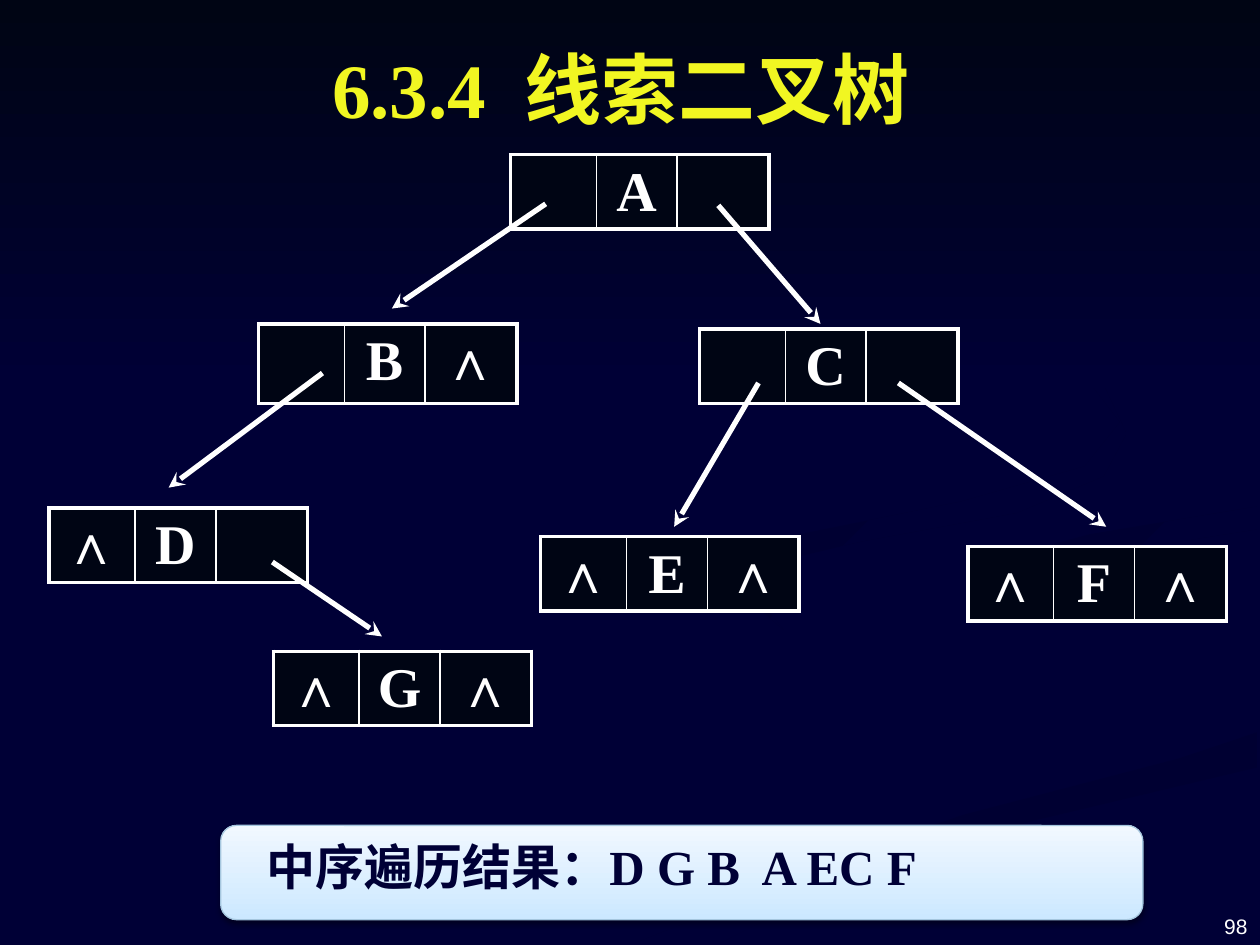
import dataclasses

import pptx
import pptx.dml.color
import pptx.enum.shapes
import pptx.enum.text
import pptx.oxml
import pptx.oxml.ns
import pptx.util

Cm = pptx.util.Cm
Pt = pptx.util.Pt
Align = pptx.enum.text.PP_ALIGN
Anchor = pptx.enum.text.MSO_ANCHOR
Preset = pptx.enum.shapes.MSO_SHAPE


@dataclasses.dataclass(frozen=True)
class Theme:
    background: str = "000036"
    swirl: str = "000032"
    faint_swirl: str = "000034"
    dark: str = "000514"
    white: str = "FFFFFF"
    title: str = "F1F622"
    panel_bottom: str = "CCE8FF"
    panel_top: str = "F1F8FF"
    panel_line: str = "A5C6DE"
    serif: str = "Times New Roman"
    sans: str = "Arial"
    title_size: int = 44
    node_size: int = 32
    result_size: int = 28
    number_size: int = 12
    outer_border: float = 2.25
    inner_border: float = 1


THEME = Theme()
COLUMN_WIDTHS = (1.73, 1.63, 1.85)
ROW_HEIGHT = 1.5

SWIRLS = [
    (THEME.background, THEME.faint_swirl, 0, [
        (19.84, 14.05), (18.57, 13.54), (16.31, 12.88), (14.91, 12.22), (14.6, 11.66),
        (14.48, 11.99), (15.06, 12.47), (17.25, 13.18), (19.1, 13.79), (19.94, 14.27),
        (19.66, 14.81), (18.14, 15.37), (14.71, 16.23), (11.63, 17.12), (8.59, 18.47),
        (7.62, 19.02), (9.17, 19.02), (11.84, 17.78), (15.09, 16.66), (17.75, 15.95),
        (19.81, 15.37), (20.32, 14.76), (20.12, 14.25)]),
    (THEME.background, THEME.faint_swirl, 315, [
        (23.95, 14.48), (23.34, 13.89), (21.59, 13.31), (19.66, 12.78), (18.62, 12.27),
        (18.39, 11.79), (18.62, 12.4), (19.84, 13.16), (21.29, 13.61), (22.86, 14.15),
        (23.32, 14.76), (22.71, 15.37), (23.67, 14.96)]),
    (THEME.swirl, THEME.background, 270, [
        (12.78, 19.02), (14.5, 19.02), (16, 18.26), (18.34, 17.32), (20.85, 16.54),
        (25.35, 15.47), (25.35, 14.76), (23.77, 15.29), (19.41, 16.43), (16, 17.6),
        (13.79, 18.62)]),
    (THEME.swirl, THEME.background, 315, [
        (19.84, 11.68), (20.24, 12.27), (20.98, 12.6), (20.45, 12.09), (20.73, 11.66),
        (22.3, 11.15), (25.35, 10.67), (25.35, 10.21), (21.97, 10.77), (20.29, 11.23)]),
    (THEME.swirl, THEME.background, 315, [
        (17.35, 10.92), (20.5, 10.34), (22.25, 9.6), (22.71, 8.74), (22.17, 7.59),
        (20.57, 6.5), (19.35, 5.92), (21.49, 7.09), (22.58, 8.51), (21.87, 9.4),
        (19.38, 10.11), (15.88, 10.82), (14.66, 11.73), (15.8, 12.7), (15.09, 11.81),
        (15.85, 11.28)]),
]

NODES = [
    (10.29, 3.12, ROW_HEIGHT, ("", "A", "")),
    (5.21, 6.53, 1.6, ("", "B", "∧")),
    (14.1, 6.63, ROW_HEIGHT, ("", "C", "")),
    (0.99, 10.24, ROW_HEIGHT, ("∧", "D", "")),
    (10.9, 10.82, ROW_HEIGHT, ("∧", "E", "∧")),
    (19.51, 11.02, ROW_HEIGHT, ("∧", "F", "∧")),
    (5.51, 13.13, ROW_HEIGHT, ("∧", "G", "∧")),
]

LINKS = [
    (11, 4.11, 7.9, 6.22),
    (14.48, 4.14, 16.54, 6.53),
    (15.29, 7.72, 13.59, 10.62),
    (18.11, 7.72, 22.3, 10.62),
    (6.5, 7.52, 3.4, 9.83),
    (5.49, 11.33, 7.7, 12.83),
]


def rgb(color):
    return pptx.dml.color.RGBColor.from_string(color)


def add_xml(parent, tag, **attributes):
    child = pptx.oxml.parse_xml(f"<a:{tag} {pptx.oxml.ns.nsdecls('a')}/>")
    for name, value in attributes.items():
        child.set(name, str(value))
    parent.append(child)
    return child


def write_text(text_frame, text, size, color, align, anchor, font=THEME.serif, bold=True):
    text_frame.text = text
    text_frame.word_wrap = True
    text_frame.vertical_anchor = anchor
    paragraph = text_frame.paragraphs[0]
    paragraph.alignment = align
    for run in paragraph.runs:
        run.font.name = font
        run.font.size = Pt(size)
        run.font.bold = bold
        run.font.color.rgb = rgb(color)


def fill_gradient(shape, first, last, angle):
    shape.fill.gradient()
    shape.fill.gradient_angle = angle
    for stop, color in zip(shape.fill.gradient_stops, (first, last)):
        stop.color.rgb = rgb(color)
    shape.line.fill.background()
    shape.shadow.inherit = False


def add_background(presentation, slide):
    slide.background.fill.solid()
    slide.background.fill.fore_color.rgb = rgb(THEME.background)
    for first, last, angle, outline in SWIRLS:
        points = [(Cm(x), Cm(y)) for x, y in outline]
        builder = slide.shapes.build_freeform(*points[0])
        builder.add_line_segments(points[1:], close=True)
        fill_gradient(builder.convert_to_shape(), first, last, angle)
    band = slide.shapes.add_shape(Preset.RECTANGLE, 0, 0, presentation.slide_width, Cm(7.82))
    fill_gradient(band, THEME.dark, THEME.background, 270)


def add_title(slide, text):
    title = slide.shapes.title
    title.left, title.top, title.width, title.height = Cm(1.09), Cm(0.41), Cm(22.86), Cm(2.72)
    write_text(title.text_frame, text, THEME.title_size, THEME.title, Align.CENTER, Anchor.MIDDLE)
    title.element.getparent().append(title.element)


def set_borders(cell, left, right):
    properties = cell._tc.get_or_add_tcPr()
    widths = {"lnL": left, "lnR": right, "lnT": THEME.outer_border, "lnB": THEME.outer_border}
    for index, (tag, width) in enumerate(widths.items()):
        line = add_xml(properties, tag, w=Pt(width))
        add_xml(add_xml(line, "solidFill"), "srgbClr", val=THEME.white)
        properties.insert(index, line)


def add_node(slide, left, top, height, texts):
    frame = slide.shapes.add_table(
        1, len(texts), Cm(left), Cm(top), Cm(sum(COLUMN_WIDTHS)), Cm(height))
    table = frame.table
    table.rows[0].height = Cm(height)
    last = len(texts) - 1
    for index, (text, width) in enumerate(zip(texts, COLUMN_WIDTHS)):
        table.columns[index].width = Cm(width)
        cell = table.cell(0, index)
        write_text(cell.text_frame, text, THEME.node_size, THEME.white, Align.CENTER, Anchor.TOP)
        cell.margin_bottom = 0
        cell.fill.solid()
        cell.fill.fore_color.rgb = rgb(THEME.dark)
        set_borders(cell,
                    THEME.outer_border if index == 0 else THEME.inner_border,
                    THEME.outer_border if index == last else THEME.inner_border)


def add_link(slide, *ends):
    connector = slide.shapes.add_connector(
        pptx.enum.shapes.MSO_CONNECTOR.STRAIGHT, *map(Cm, ends))
    connector.line.color.rgb = rgb(THEME.white)
    connector.line.width = Pt(3)
    add_xml(connector.line._get_or_add_ln(), "tailEnd", type="stealth")
    add_xml(connector._element.spPr, "effectLst")


def add_result(slide, text):
    panel = slide.shapes.add_shape(
        Preset.ROUNDED_RECTANGLE, Cm(4.45), Cm(16.64), Cm(18.59), Cm(1.9))
    fill_gradient(panel, THEME.panel_bottom, THEME.panel_top, 90)
    panel.line.color.rgb = rgb(THEME.panel_line)
    panel.line.width = Pt(0.75)
    effects = panel._element.spPr.find(pptx.oxml.ns.qn("a:effectLst"))
    shadow = add_xml(effects, "outerShdw", blurRad=Pt(3.1), dist=Pt(1.6), dir=90 * 60000)
    add_xml(add_xml(shadow, "srgbClr", val="000000"), "alpha", val=38000)
    write_text(panel.text_frame, text, THEME.result_size, THEME.background,
               Align.LEFT, Anchor.TOP)
    panel.text_frame.margin_left = Cm(0.84)


def add_slide_number(slide, text):
    box = slide.shapes.add_textbox(Cm(19.48), Cm(17.73), Cm(5.92), Cm(1.32))
    write_text(box.text_frame, text, THEME.number_size, THEME.white,
               Align.RIGHT, Anchor.BOTTOM, THEME.sans, False)


def main():
    presentation = pptx.Presentation()
    presentation.slide_width, presentation.slide_height = Cm(25.4), Cm(19.05)
    slide = presentation.slides.add_slide(presentation.slide_layouts[5])
    add_background(presentation, slide)
    add_slide_number(slide, "98")
    for node in NODES:
        add_node(slide, *node)
    for link in LINKS:
        add_link(slide, *link)
    add_title(slide, "6.3.4  线索二叉树")
    add_result(slide, "中序遍历结果：D G B  A EC F")
    presentation.save("out.pptx")


if __name__ == "__main__":
    main()
